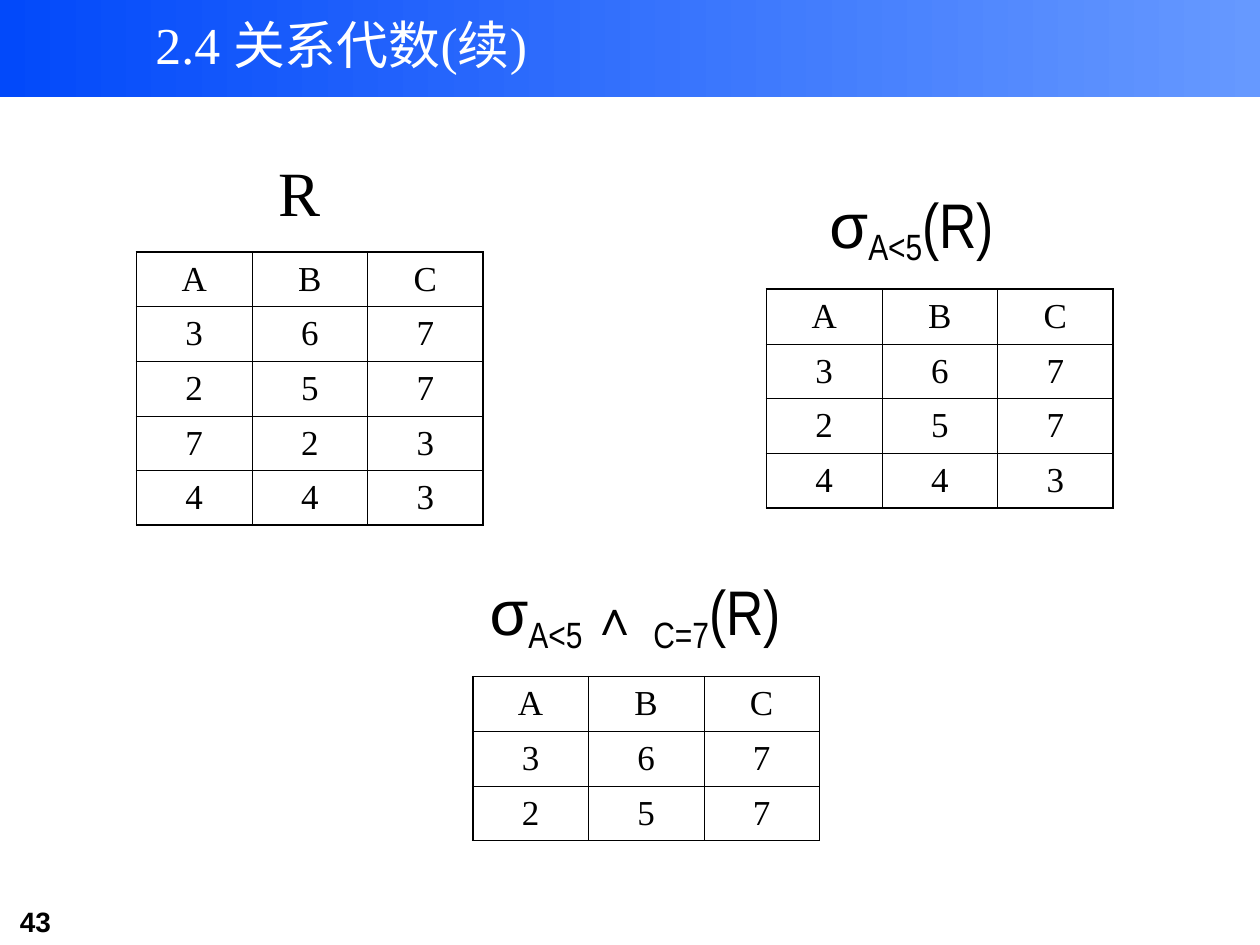
from lxml.etree import SubElement
from pptx import Presentation
from pptx.dml.color import RGBColor
from pptx.enum.shapes import MSO_SHAPE as Preset
from pptx.enum.text import MSO_ANCHOR as Anchor, MSO_AUTO_SIZE as AutoSize, PP_ALIGN as Align
from pptx.oxml.ns import qn
from pptx.util import Cm, Pt

BLACK = RGBColor(0x00, 0x00, 0x00)
WHITE = RGBColor(0xFF, 0xFF, 0xFF)
DEEP_BLUE = RGBColor(0x02, 0x49, 0xFA)
LIGHT_BLUE = RGBColor(0x66, 0x99, 0xFF)

COLUMN_WIDTH, ROW_HEIGHT = 2.33, 1.1
OUTER_LINE, INNER_LINE = 1.08, 0.45

TITLE = {"name": "Times New Roman", "size": Pt(29.6), "bold": False}
NUMBER = {"name": "Arial", "size": Pt(16), "bold": True}
CELL = {"name": "Times New Roman", "size": Pt(20)}
LETTER = {"name": "Times New Roman", "size": Pt(36)}
SIGMA = {"name": "Arial", "size": Pt(36)}
NARROW = {"name": "Arial Narrow", "size": Pt(36)}
WEDGE = {"name": "Arial", "size": Pt(28)}


def add_span(para, text, style, color=BLACK, baseline=0):
    span = para.add_run()
    span.text = text
    for name, value in style.items():
        setattr(span.font, name, value)
    span.font.color.rgb = color
    if baseline:
        span._r.get_or_add_rPr().set("baseline", str(baseline * 1000))


def add_text(page, box, spans, align):
    frame = page.shapes.add_textbox(*map(Cm, box)).text_frame
    frame.word_wrap = True
    para = frame.paragraphs[0]
    para.alignment = align
    for span in spans:
        add_span(para, *span)


def draw_header(page, box, text):
    left, top, width, height = box
    band = page.shapes.add_shape(Preset.RECTANGLE, *map(Cm, box))
    band.shadow.inherit = False
    band.line.fill.background()
    band.fill.gradient()
    band.fill.gradient_angle = 0
    for stop, color in zip(band.fill.gradient_stops, (DEEP_BLUE, LIGHT_BLUE)):
        stop.color.rgb = color

    title = page.shapes.title
    title.element.addprevious(band.element)
    title.left, title.top = Cm(left + 2.33), Cm(top + 0.03)
    title.width, title.height = Cm(9.1), Cm(1.7)
    frame = title.text_frame
    frame.auto_size = AutoSize.NONE
    frame.vertical_anchor = Anchor.MIDDLE
    para = frame.paragraphs[0]
    para.alignment = Align.CENTER
    add_span(para, text, TITLE, WHITE)


def set_borders(cell, widths):
    properties = cell._tc.get_or_add_tcPr()
    for position, (side, width) in enumerate(widths.items()):
        line = SubElement(properties, qn(f"a:ln{side}"), w=str(Pt(width)))
        fill = SubElement(line, qn("a:solidFill"))
        SubElement(fill, qn("a:srgbClr"), val=str(BLACK))
        properties.insert(position, line)


def draw_relation(page, corner, heading, heading_box, rows):
    left, top = corner
    dx, dy, width, height = heading_box
    add_text(page, (left + dx, top + dy, width, height), heading, Align.CENTER)

    records = ["ABC", *rows]
    row_count, column_count = len(records), len(records[0])
    size = (column_count * COLUMN_WIDTH, row_count * ROW_HEIGHT)
    table = page.shapes.add_table(row_count, column_count, *map(Cm, (left, top, *size))).table
    table.first_row = table.horz_banding = False
    for column in table.columns:
        column.width = Cm(COLUMN_WIDTH)
    for i, record in enumerate(records):
        table.rows[i].height = Cm(ROW_HEIGHT)
        for j, value in enumerate(record):
            cell = table.cell(i, j)
            cell.vertical_anchor = Anchor.MIDDLE
            cell.fill.background()
            para = cell.text_frame.paragraphs[0]
            para.alignment = Align.CENTER
            add_span(para, value, CELL)
            outer = {"L": j == 0, "R": j == column_count - 1,
                     "T": i == 0, "B": i == row_count - 1}
            set_borders(cell, {side: OUTER_LINE if edge else INNER_LINE
                               for side, edge in outer.items()})


def main():
    deck = Presentation()
    deck.slide_width, deck.slide_height = Cm(25.4), Cm(19.05)
    page = deck.slides.add_slide(deck.slide_layouts[5])

    draw_header(page, (0, 0, 25.4, 1.96), "2.4 关系代数(续)")
    add_text(page, (0.15, 18.11, 3.1, 0.94), [("43", NUMBER)], Align.LEFT)

    sigma = ("σ", SIGMA)
    argument = ("(R) ", NARROW)
    draw_relation(page, (2.75, 5.08), [("R", LETTER)],
                  (2.13, -2.11, 2.33, 1.78), ["367", "257", "723", "443"])
    draw_relation(page, (15.45, 5.83),
                  [sigma, ("A<5", NARROW, BLACK, -20), argument],
                  (0.85, -2.22, 4.45, 1.93), ["367", "257", "443"])
    draw_relation(page, (9.53, 13.64),
                  [sigma, ("A<5 ", NARROW, BLACK, -20), ("∧ ", WEDGE),
                   ("C=7", NARROW, BLACK, -20), argument],
                  (0, -2.22, 6.55, 1.93), ["367", "257"])

    deck.save("out.pptx")


if __name__ == "__main__":
    main()
